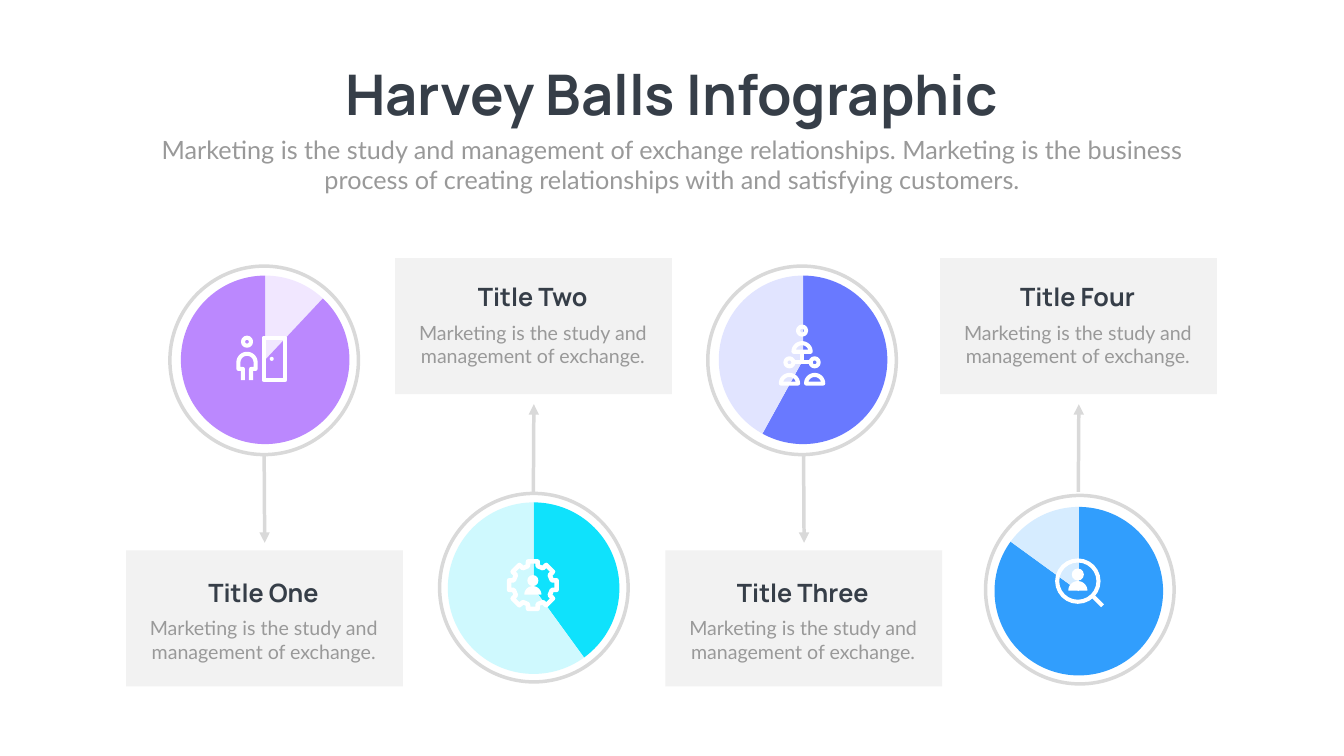
import math

import lxml.etree
import pptx
import pptx.chart.data
import pptx.dml.color
import pptx.enum.chart
import pptx.enum.shapes
import pptx.enum.text
import pptx.oxml.ns
import pptx.util

PX = 9144  # 100 px to the inch
RING, CARD_W, CARD_H = 374, 549, 270
STROKE = 5.8  # icon line, points
COLORS = {"ink": "363E48", "text": "999999", "line": "D9D9D9",
          "card": "F2F2F2", "white": "FFFFFF"}
NOTE = "Marketing is the study and management of exchange."
LEAD = ("Marketing is the study and management of exchange relationships. "
        "Marketing is the business process of creating relationships with "
        "and satisfying customers.")
KIND = pptx.enum.shapes.MSO_SHAPE


def emu(*sizes):
    return [round(size * PX) for size in sizes]


def rgb(color):
    return pptx.dml.color.RGBColor.from_string(COLORS.get(color, color))


def paint(shape, fill=None, line=None, width=STROKE):
    shape.shadow.inherit = False
    if fill:
        shape.fill.solid()
        shape.fill.fore_color.rgb = rgb(fill)
    else:
        shape.fill.background()
    if line:
        shape.line.color.rgb = rgb(line)
        shape.line.width = pptx.util.Pt(width)
    else:
        shape.line.fill.background()


def add_form(slide, kind, box, **style):
    paint(slide.shapes.add_shape(kind, *emu(*box)), **style)


def add_disc(slide, x, y, r, **style):
    add_form(slide, KIND.OVAL, (x - r, y - r, 2 * r, 2 * r), **style)


def trace(slide, points, close=True, **style):
    first, *rest = [emu(*point) for point in points]
    pen = slide.shapes.build_freeform(*first, scale=1.0)
    pen.add_line_segments(rest, close=close)
    paint(pen.convert_to_shape(), **style)


def add_line(slide, start, end, color, width, arrow=False):
    line = slide.shapes.add_connector(
        pptx.enum.shapes.MSO_CONNECTOR.STRAIGHT, *emu(*start, *end))
    line.line.color.rgb = rgb(color)
    line.line.width = pptx.util.Pt(width)
    name = pptx.oxml.ns.qn
    props = line._element.spPr
    if arrow:
        lxml.etree.SubElement(props.find(name("a:ln")), name("a:tailEnd"),
                              type="triangle")
    lxml.etree.SubElement(props, name("a:effectLst"))


def set_text(shape, text, size, font, color, bold=False):
    frame = shape.text_frame
    frame.word_wrap = True
    frame.vertical_anchor = pptx.enum.text.MSO_ANCHOR.TOP
    frame.auto_size = pptx.enum.text.MSO_AUTO_SIZE.SHAPE_TO_FIT_TEXT
    frame.text = text
    para = frame.paragraphs[0]
    para.alignment = pptx.enum.text.PP_ALIGN.CENTER
    para.font.size = pptx.util.Pt(size)
    para.font.name = font
    para.font.bold = bold
    para.font.color.rgb = rgb(color)


def add_text(slide, box, *style):
    set_text(slide.shapes.add_textbox(*emu(*box)), *style)


# Icons, each placed around its centre

def arch(x, y, r):
    """Upper half circle, from left to right."""
    return [(x - r * math.cos(math.pi * i / 24),
             y - r * math.sin(math.pi * i / 24)) for i in range(25)]


def draw_door(slide, x, y):
    left, base = x - 30, y + 42
    add_disc(slide, left, y - 34, 8, line="white")
    body = [(left - 8, base), (left - 8, y + 20), (left - 17, y + 20),
            *arch(left, y + 7, 17),
            (left + 17, y + 20), (left + 8, y + 20), (left + 8, base)]
    trace(slide, body, close=False, line="white")
    add_form(slide, KIND.RECTANGLE, (x + 3, y - 42, 43, 84), line="white")
    add_disc(slide, x + 19, y, 4, fill="white")


def draw_gear(slide, x, y):
    teeth = []
    for i in range(8):
        for r, turn in ((39, -0.25), (48, -0.2), (48, 0.2), (39, 0.25)):
            angle = i * math.pi / 4 + turn
            teeth.append((x + r * math.cos(angle), y + r * math.sin(angle)))
    trace(slide, teeth, line="white", width=6.5)
    add_disc(slide, x, y - 9, 11, fill="white")
    trace(slide, arch(x, y + 19, 17), fill="white")


def draw_team(slide, x, y):
    for dx, dy in ((0, -48), (-25, 15), (25, 15)):
        add_disc(slide, x + dx, y + dy, 8, line="white")
        trace(slide, arch(x + dx, y + dy + 42, 17), line="white")
    add_line(slide, (x, y - 6), (x, y + 15), "white", STROKE)
    add_line(slide, (x - 17, y + 15), (x + 17, y + 15), "white", STROKE)


def draw_search(slide, x, y):
    add_disc(slide, x, y, 41, line="white")
    add_line(slide, (x + 29, y + 29), (x + 49, y + 49), "white", STROKE)
    add_disc(slide, x, y - 13, 12, fill="white")
    trace(slide, arch(x, y + 19, 19), fill="white")


# Regions

def add_head(slide):
    title = slide.shapes.title
    title.left, title.top, title.width, title.height = emu(488, 114, 1689, 145)
    set_text(title, "Harvey Balls Infographic", 80, "Manrope", "ink", True)
    add_text(slide, (292, 261, 2082, 131), LEAD, 36, "Lato", "text")


def add_ball(slide, x, y, pie, parts, colors):
    """Ring at x, y with a pie inside; pie is its box relative to the ring."""
    dx, dy, width, height = pie
    add_form(slide, KIND.OVAL, (x + 3, y + 3, 368, 368), fill="white")
    data = pptx.chart.data.CategoryChartData()
    data.categories = ["1", "2"]
    data.add_series("Series 1", parts)
    chart = slide.shapes.add_chart(
        pptx.enum.chart.XL_CHART_TYPE.PIE,
        *emu(x + dx, y + dy, width, height), data).chart
    chart.has_legend = chart.has_title = False
    chart.font.name = "Calibri"
    chart.font.size = pptx.util.Pt(18)
    chart.font.color.rgb = rgb("text")
    plot = chart.plots[0]
    plot.vary_by_categories = True
    for i, color in enumerate(colors):
        form = plot.series[0].points[i].format
        form.fill.solid()
        form.fill.fore_color.rgb = rgb(color)
        form.line.fill.background()
    add_form(slide, KIND.OVAL, (x, y, RING, RING), line="line", width=5)


def add_card(slide, x, above, title):
    """Card and its arrow, above or below the ball."""
    y, lift = (512, 7) if above else (1092, 0)
    mid = x + CARD_W // 2
    start, end = (976, 802) if above else (903, 1077)
    add_line(slide, (mid, start), (mid + 1, end), "line", 5, arrow=True)
    add_form(slide, KIND.RECTANGLE, (x, y, CARD_W, CARD_H), fill="card")
    add_text(slide, (x - 1, y + 126 - lift, 548, 104),
             NOTE, 28, "Lato", "text")
    add_text(slide, (x + 66, y + 48 - lift, 413, 71),
             title, 36, "Manrope", "ink", True)


# Ring x and y, pie box, parts, colours, icon and its centre, card x, title
ITEMS = [
    (337, 528, (5, 5, 368, 362), (12, 88), ("F1E7FF", "BB88FE"),
     draw_door, (520, 712), 250, "Title One"),
    (872, 979, (0, 4, 373, 368), (40, 60), ("0FE2FC", "CFF9FE"),
     draw_gear, (1057, 1161), 784, "Title Two"),
    (1404, 528, (5, 5, 368, 362), (58, 42), ("6979FF", "E1E4FF"),
     draw_team, (1591, 704), 1320, "Title Three"),
    (1955, 983, (1, 9, 368, 362), (85, 15), ("319EFD", "D6ECFF"),
     draw_search, (2138, 1153), 1865, "Title Four"),
]


def main():
    deck = pptx.Presentation()
    deck.slide_width, deck.slide_height = emu(2666, 1500)
    slide = deck.slides.add_slide(deck.slide_layouts[5])
    add_head(slide)
    for i, (x, y, pie, parts, colors, draw, spot, left, title) in enumerate(ITEMS):
        add_ball(slide, x, y, pie, parts, colors)
        add_card(slide, left, i % 2 == 1, title)
        draw(slide, *spot)
    deck.save("out.pptx")


if __name__ == "__main__":
    main()
